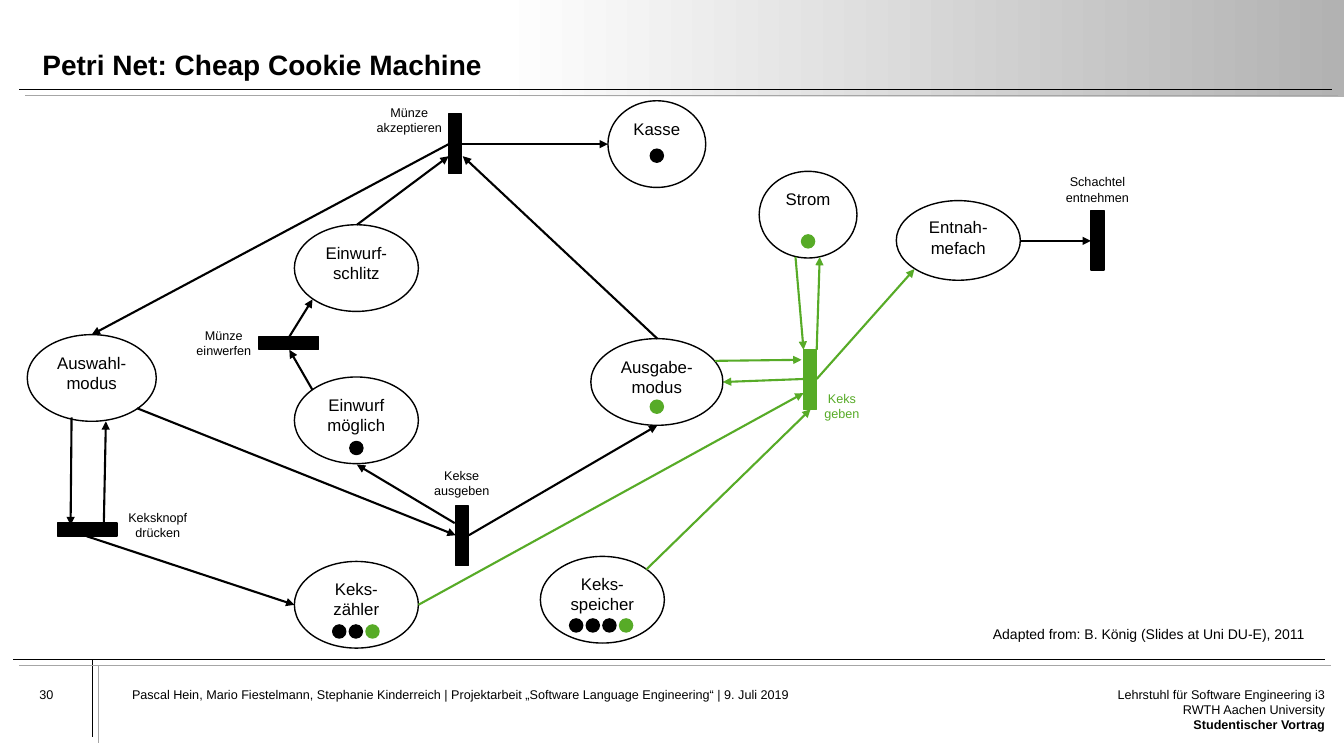
from dataclasses import dataclass
from pptx import Presentation, util as u
from pptx.dml import color
from pptx.enum import shapes, text as t
from pptx.oxml import ns, xmlchemy


@dataclass(frozen=True)
class Theme:
    font: str = "Arial"
    black: color.RGBColor = color.RGBColor.from_string("000000")
    green: color.RGBColor = color.RGBColor.from_string("57AB27")
    grey: color.RGBColor = color.RGBColor.from_string("A6A6A6")
    white: color.RGBColor = color.RGBColor.from_string("FFFFFF")
    silver: color.RGBColor = color.RGBColor.from_string("B2B2B2")
    title: int = 20
    place: int = 12
    source: int = 10
    small: int = 9


theme = Theme()
black, green = theme.black, theme.green
left, center, right = t.PP_ALIGN.LEFT, t.PP_ALIGN.CENTER, t.PP_ALIGN.RIGHT


def write(frame, content, size=theme.small, ink=black, bold=None, align=left,
          anchor=t.MSO_ANCHOR.TOP, padding=(0.1, 0.05), wrap=True):
    frame.word_wrap = wrap
    frame.vertical_anchor = anchor
    frame.margin_left = frame.margin_right = u.Inches(padding[0])
    frame.margin_top = frame.margin_bottom = u.Inches(padding[1])
    frame.text = content
    for paragraph in frame.paragraphs:
        paragraph.alignment = align
        for run in paragraph.runs:
            run.font.name, run.font.size = theme.font, u.Pt(size)
            run.font.bold, run.font.color.rgb = bold, ink
    return frame


def draw(kind, box, fill=None):
    node = slide.shapes.add_shape(kind, *map(u.Inches, box))
    node.shadow.inherit = False
    node.line.color.rgb = fill or black
    node.line.width = u.Pt(1)
    if fill is None:
        node.fill.background()
    else:
        node.fill.solid()
        node.fill.fore_color.rgb = fill
    return node


deck = Presentation()
deck.slide_width, deck.slide_height = u.Inches(13.33), u.Inches(7.5)
slide = deck.slides.add_slide(deck.slide_layouts[5])

heading = slide.shapes.title
heading.left, heading.top, heading.width, heading.height = map(u.Inches, (0.42, 0.22, 12.56, 0.59))
write(heading.text_frame, "Petri Net: Cheap Cookie Machine", size=theme.title, bold=True,
      anchor=t.MSO_ANCHOR.BOTTOM, padding=(0, 0))
heading.text_frame.paragraphs[0].line_spacing = 0.9

banner = draw(shapes.MSO_SHAPE.RECTANGLE, (4.93, 0, 8.4, 0.96))
banner.line.fill.background()
banner.fill.gradient()
banner.fill.gradient_angle = 0
for stop, shade in zip(banner.fill.gradient_stops, (theme.white, theme.silver)):
    stop.color.rgb = shade

places = [
    ("Auswahl-modus", 0.27, 3.32, 1.28, 0.86),
    ("Einwurf-schlitz", 2.92, 2.23, 1.23, 0.86),
    ("Kasse", 6.03, 1, 0.97, 0.86),
    ("Keks-\nzähler", 2.92, 5.57, 1.23, 0.86),
    ("Entnah-mefach", 8.89, 1.99, 1.23, 0.79),
    ("Ausgabe-modus", 5.86, 3.36, 1.31, 0.86),
    ("Keks-speicher", 5.36, 5.52, 1.23, 0.86),
    ("Strom", 7.53, 1.7, 0.97, 0.86),
    ("Einwurf möglich", 2.92, 3.74, 1.23, 0.86),
]
for name, *box in places:
    place = draw(shapes.MSO_SHAPE.OVAL, box)
    write(place.text_frame, name, size=theme.place, align=center)

upright, flat = (0.13, 0.59), (0.59, 0.13)
transitions = [
    ("Münze akzeptieren", (4.45, 1.13), upright, black, (3.63, 0.99, 0.86)),
    ("Münze einwerfen", (2.57, 3.34), flat, black, (1.79, 3.2, 0.86)),
    ("Kekse ausgeben", (4.52, 5.02), upright, black, (4.15, 4.59, 0.86)),
    ("Keksknopf drücken", (0.57, 5.19), flat, black, (1.15, 5.01, 0.83)),
    ("Keks geben", (7.97, 3.47), upright, green, (7.97, 3.83, 0.76)),
    ("Schachtel entnehmen", (10.82, 2.09), upright, black, (10.4, 1.68, 0.97)),
]
for name, corner, size, ink, label_box in transitions:
    draw(shapes.MSO_SHAPE.RECTANGLE, corner + size, ink)
    label = slide.shapes.add_textbox(*map(u.Inches, label_box + (0.4,)))
    write(label.text_frame, name, ink=ink, align=center)

rules = [
    (0.19, 0.89, 13.21, 0.89),
    (0.13, 6.54, 13.14, 6.54),
    (0.92, 6.54, 0.92, 7.31),
]
black_arcs = [
    (10.12, 2.39, 10.82, 2.39),
    (4.45, 1.43, 0.91, 3.32),
    (6.52, 3.36, 4.59, 1.55),
    (4.65, 5.31, 6.52, 4.22),
    (1.36, 4.05, 4.52, 5.31),
    (3.1, 3.87, 2.87, 3.47),
    (2.87, 3.34, 3.1, 2.97),
    (4.51, 5.19, 3.54, 4.61),
    (3.54, 2.23, 4.45, 1.55),
    (0.71, 4.14, 0.7, 5.21),
    (1.03, 5.19, 1.05, 4.18),
    (0.86, 5.32, 2.92, 6),
    (4.58, 1.43, 6.03, 1.43),
]
green_arcs = [
    (7.89, 2.55, 7.97, 3.47),
    (8.1, 3.47, 8.13, 2.55),
    (7.09, 3.58, 7.95, 3.57),
    (7.97, 3.76, 7.17, 3.79),
    (4.15, 6, 7.97, 3.9),
    (6.41, 5.65, 8.04, 4.06),
    (8.1, 3.76, 9.07, 2.67),
]
echoes = [tuple(value + 0.06 for value in rule) for rule in rules]
for group, ink, weight, arrow in [
    (rules, black, 0.5, False),
    (echoes, theme.grey, 0.5, False),
    (black_arcs, black, 1.5, True),
    (green_arcs, green, 1.5, True),
]:
    for ends in group:
        arc = slide.shapes.add_connector(shapes.MSO_CONNECTOR.STRAIGHT, *map(u.Inches, ends))
        arc.line.color.rgb = ink
        arc.line.width = u.Pt(weight)
        if arrow:
            tip = xmlchemy.OxmlElement("a:tailEnd")
            tip.set("type", "triangle")
            arc.line._get_or_add_ln().append(tip)
        arc._element.find(ns.qn("p:spPr")).append(xmlchemy.OxmlElement("a:effectLst"))

tokens = [
    (6.45, 1.48, [black]),
    (7.95, 2.33, [green]),
    (3.47, 4.38, [black]),
    (6.45, 3.97, [green]),
    (3.3, 6.2, [black, black, green]),
    (5.65, 6.14, [black, black, black, green]),
]
for start, top, inks in tokens:
    for index, ink in enumerate(inks):
        draw(shapes.MSO_SHAPE.OVAL, (start + index * 0.165, top, 0.13, 0.13), ink)

notices = [
    ("30", (0.39, 6.81, 0.8, 0.43), {"padding": (0, 0)}),
    ("Pascal Hein, Mario Fiestelmann, Stephanie Kinderreich | Projektarbeit "
     "„Software Language Engineering“ | 9. Juli 2019",
     (1.31, 6.81, 7.66, 0.69), {"padding": (0, 0)}),
    ("Adapted from: B. König (Slides at Uni DU-E), 2011",
     (9.75, 6.16, 3.33, 0.27), {"size": theme.source, "wrap": False}),
    ("Lehrstuhl für Software Engineering i3\nRWTH Aachen University\nStudentischer Vortrag",
     (10.99, 6.81, 2.15, 0.69), {"padding": (0, 0), "align": right}),
]
for content, box, style in notices:
    notice = slide.shapes.add_textbox(*map(u.Inches, box))
    frame = write(notice.text_frame, content, **style)
frame.paragraphs[-1].runs[0].font.bold = True

deck.save("out.pptx")
